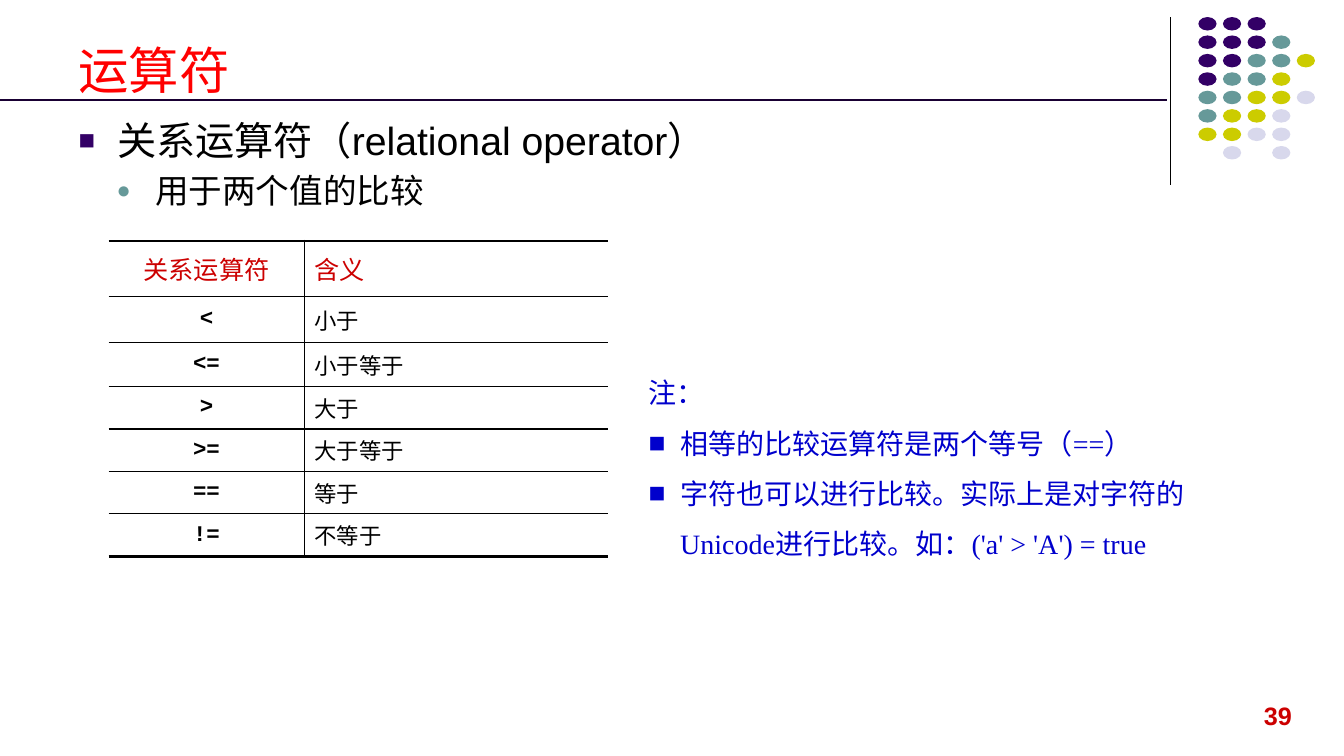
from dataclasses import dataclass

from lxml import etree
from pptx import Presentation
from pptx import util as u
from pptx.dml.color import RGBColor
from pptx.enum import shapes, text
from pptx.oxml import ns


@dataclass(frozen=True)
class Theme:
    purple: str = "330066"
    teal: str = "669999"
    olive: str = "CCCC00"
    lavender: str = "D8D8EC"
    rule: str = "190033"
    black: str = "000000"
    title: str = "FF0000"
    accent: str = "CC0000"
    note: str = "0000CC"
    title_size: int = 36
    body_size: int = 28
    sub_size: int = 24
    note_size: int = 20
    head_size: int = 18
    cell_size: int = 16
    sans: str = "Arial"
    serif: str = "Times New Roman"
    mono: str = "Courier New"
    display: str = "Roboto"
    cjk: str = "Noto Sans CJK SC"


theme = Theme()


def child(parent, tag, **attributes):
    element = etree.SubElement(parent, ns.qn(tag))
    for key, value in attributes.items():
        element.set(key, str(value))
    return element


def write(paragraph, content, size, font, color=theme.black, bold=False, align=None,
          bullet=None, bullet_color=None, bullet_size=100, indent=0, hang=0,
          level=0, line=None, before=0):
    if bullet:
        properties = paragraph._p.get_or_add_pPr()
        properties.set("marL", str(u.Cm(indent)))
        properties.set("indent", str(-u.Cm(hang)))
        child(child(properties, "a:buClr"), "a:srgbClr", val=bullet_color or color)
        child(properties, "a:buSzPct", val=bullet_size * 1000)
        child(properties, "a:buFont", typeface=theme.sans)
        child(properties, "a:buChar", char=bullet)
    if level:
        paragraph.level = level
    if align is not None:
        paragraph.alignment = align
    if line:
        paragraph.line_spacing = u.Pt(line)
    if before:
        paragraph.space_before = u.Pt(before)
    run = paragraph.add_run()
    run.text = content
    run.font.size = u.Pt(size)
    run.font.name = font
    run.font.bold = bold
    run.font.color.rgb = RGBColor.from_string(color)
    child(run._r.get_or_add_rPr(), "a:ea", typeface=theme.cjk)


presentation = Presentation()
presentation.slide_width = u.Cm(33.87)
presentation.slide_height = u.Cm(19.05)
slide = presentation.slides.add_slide(presentation.slide_layouts[6])

for x1, y1, x2, y2, color, width in (
    (29.49, 0.43, 29.49, 4.65, theme.black, 0.75),
    (0, 2.52, 29.41, 2.52, theme.rule, 1.5),
):
    rule = slide.shapes.add_connector(
        shapes.MSO_CONNECTOR.STRAIGHT, u.Cm(x1), u.Cm(y1), u.Cm(x2), u.Cm(y2))
    rule.line.color.rgb = RGBColor.from_string(color)
    rule.line.width = u.Pt(width)
    child(rule._element.spPr, "a:effectLst")

dot_colors = {"P": theme.purple, "T": theme.teal, "O": theme.olive, "L": theme.lavender}
dot_rows = ("PPP", "PPPT", "PPTTO", "PTTO", "TTOOL", "TOOL", "OOLL", " L L")
for row, pattern in enumerate(dot_rows):
    for column, key in enumerate(pattern):
        if key in dot_colors:
            dot = slide.shapes.add_shape(
                shapes.MSO_SHAPE.OVAL, u.Cm(30.2 + 0.62 * column),
                u.Cm(0.43 + 3.25 / 7 * row), u.Cm(0.46), u.Cm(0.34))
            dot.shadow.inherit = False
            dot.fill.solid()
            dot.fill.fore_color.rgb = RGBColor.from_string(dot_colors[key])
            dot.line.fill.background()

frames = {}
for name, left, top, width, height in (
    ("title", 1.73, 0.53, 27.94, 2.01),
    ("body", 1.73, 2.72, 30.48, 3.15),
    ("notes", 16.1, 8.92, 14.71, 5.23),
    ("number", 31.6, 17.53, 1.3, 1.02),
):
    box = slide.shapes.add_textbox(u.Cm(left), u.Cm(top), u.Cm(width), u.Cm(height))
    frames[name] = box.text_frame
    frames[name].word_wrap = name != "number"

frames["title"].vertical_anchor = text.MSO_ANCHOR.BOTTOM
frames["title"].margin_bottom = u.Cm(0.03)
write(frames["title"].paragraphs[0], "运算符", theme.title_size, theme.display, theme.title)
write(frames["number"].paragraphs[0], "39", theme.head_size, theme.sans, theme.accent, bold=True)

heading = frames["body"].paragraphs[0]
write(heading, "关系运算符", theme.body_size, theme.cjk, bullet="■",
      bullet_color=theme.purple, bullet_size=70, indent=0.97, hang=0.97, line=36)
write(heading, "（relational operator）", theme.body_size, theme.sans)
write(frames["body"].add_paragraph(), "用于两个值的比较", theme.sub_size, theme.cjk,
      bullet="●", bullet_color=theme.teal, bullet_size=70, indent=1.93, hang=0.97,
      level=1, line=29, before=4.8)

write(frames["notes"].paragraphs[0], "注：", theme.note_size, theme.serif, theme.note, line=36)
for note in (
    "相等的比较运算符是两个等号（==）",
    "字符也可以进行比较。实际上是对字符的Unicode进行比较。如：('a' > 'A') = true",
):
    write(frames["notes"].add_paragraph(), note, theme.note_size, theme.serif, theme.note,
          bullet="■", indent=0.79, hang=0.79, line=36)

operators = (
    ("关系运算符", "含义"),
    ("<", "小于"),
    ("<=", "小于等于"),
    (">", "大于"),
    (">=", "大于等于"),
    ("==", "等于"),
    ("!=", "不等于"),
)
row_heights = (1.4, 1.17, 1.1) + (1.07,) * 4
column_widths = (4.93, 7.65)
last = len(operators) - 1
frame = slide.shapes.add_table(
    len(operators), len(column_widths), u.Cm(2.74), u.Cm(6.07),
    u.Cm(sum(column_widths)), u.Cm(sum(row_heights)))
table = frame.table
table.first_row = False
table.horz_banding = False
for column, width in enumerate(column_widths):
    table.columns[column].width = u.Cm(width)
for row, (values, height) in enumerate(zip(operators, row_heights)):
    table.rows[row].height = u.Cm(height)
    for column, value in enumerate(values):
        cell = table.cell(row, column)
        cell.vertical_anchor = text.MSO_ANCHOR.MIDDLE
        header = row == 0
        symbol = column == 0 and not header
        write(cell.text_frame.paragraphs[0], value,
              theme.head_size if header else theme.cell_size,
              theme.mono if symbol else theme.serif,
              theme.accent if header else theme.black, bold=symbol,
              align=text.PP_ALIGN.LEFT if column else text.PP_ALIGN.CENTER)
        borders = {
            "a:lnL": 1 if column else 0,
            "a:lnR": 0 if column else 1,
            "a:lnT": 2.25 if header else 1,
            "a:lnB": 2.25 if row == last else 1,
        }
        for tag, weight in borders.items():
            border = child(cell._tc.get_or_add_tcPr(), tag, w=u.Pt(weight))
            if weight:
                child(child(border, "a:solidFill"), "a:srgbClr", val=theme.black)
            else:
                child(border, "a:noFill")
        cell.fill.background()

presentation.save("out.pptx")
